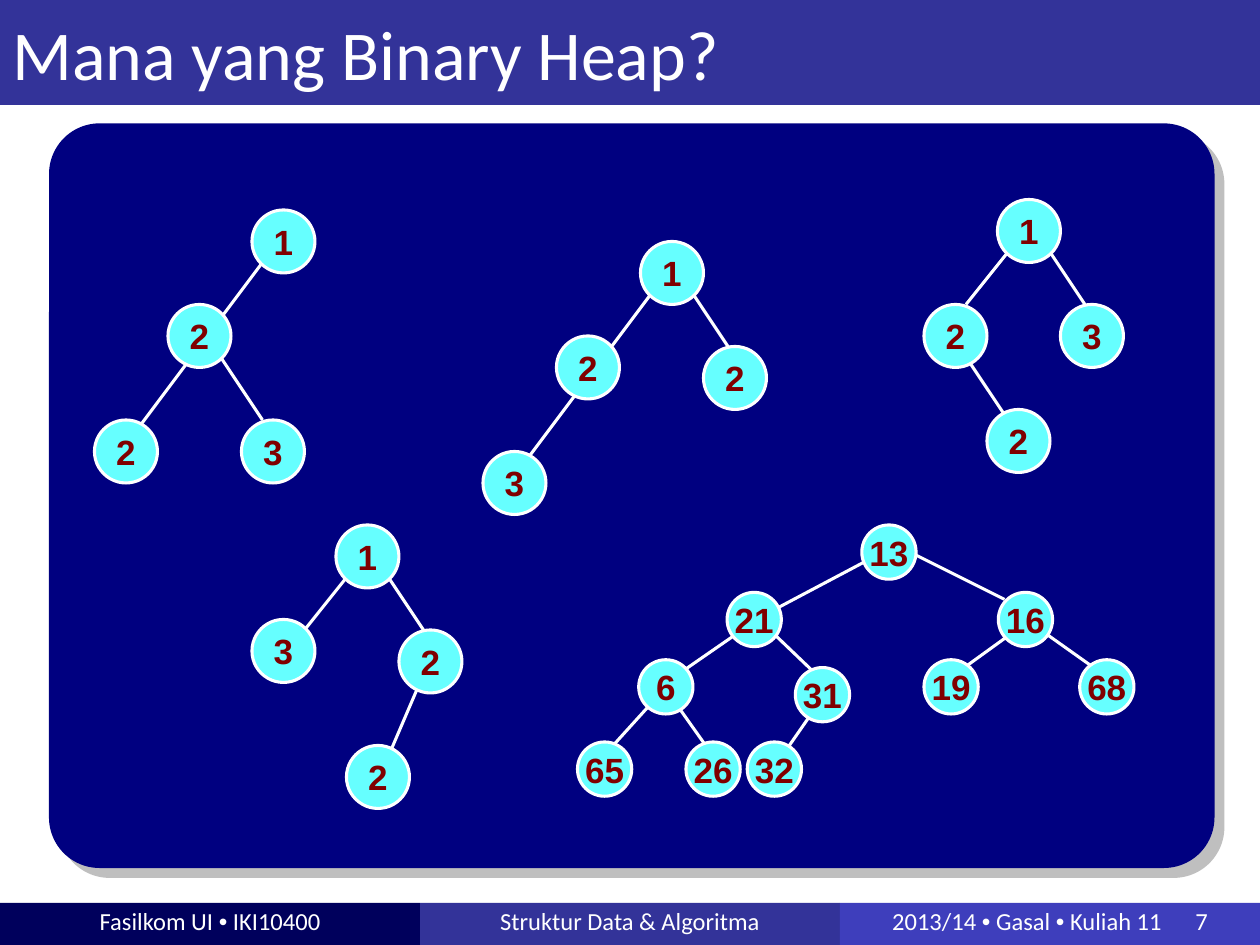
from lxml import etree
from pptx import Presentation
from pptx.dml.color import RGBColor
from pptx.enum import shapes, text
from pptx.oxml import ns
from pptx.util import Pt

WHITE = RGBColor(0xFF, 0xFF, 0xFF)
INDIGO = RGBColor(0x33, 0x33, 0x99)
NIGHT = RGBColor(0x00, 0x00, 0x5C)
VIOLET = RGBColor(0x3E, 0x3E, 0xBC)
NAVY = RGBColor(0x00, 0x00, 0x80)
GREY = RGBColor(0x80, 0x80, 0x80)
CYAN = RGBColor(0x66, 0xFF, 0xFF)
MAROON = RGBColor(0x80, 0x00, 0x00)

BULLET = ("•", "Arial", 0)
FOOTER = [
    (NIGHT, [("Fasilkom UI ", "Calibri", 0), BULLET, (" IKI10400", "Calibri", 0)]),
    (INDIGO, [("Struktur Data & Algoritma", "Calibri", 0)]),
    (VIOLET, [("2013/14 ", "Calibri", 0), BULLET, (" Gasal ", "Calibri", 0), BULLET,
              (" Kuliah 11", "Calibri", 0), (" ", "Calibri", 16), ("7", "Calibri", 0)]),
]

# Each tree: left, top, node size, nodes (label, x, y), edges (x1, y1, x2, y2)
TREES = [
    (54, 120, 36,
     [("1", 90, 0), ("2", 42, 54), ("2", 0, 120), ("3", 84, 120)],
     [(96, 30, 24, 126), (72, 84, 96, 120)]),
    (276, 138, 36,
     [("1", 90, 0), ("2", 42, 54), ("3", 0, 120), ("2", 126, 60)],
     [(120, 30, 144, 66), (96, 30, 24, 126)]),
    (144, 300, 36,
     [("1", 48, 0), ("3", 0, 54), ("2", 54, 126), ("2", 84, 60)],
     [(78, 30, 102, 66), (96, 90, 78, 132), (54, 30, 30, 60)]),
    (528, 114, 36,
     [("1", 42, 0), ("2", 0, 60), ("2", 36, 120), ("3", 78, 60)],
     [(24, 90, 48, 126), (72, 30, 96, 66), (48, 30, 24, 60)]),
    (330, 300, 31,
     [("13", 162.5, 0), ("21", 85.5, 38.5), ("16", 240.5, 38.5), ("6", 35, 77),
      ("31", 124.5, 81.5), ("19", 198, 77), ("68", 287, 77), ("65", 0, 124),
      ("26", 62, 124), ("32", 97, 124)],
     [(190, 15.5, 244, 42.5), (267.5, 62, 295, 81.5), (248, 62, 221, 81.5),
      (58, 104.5, 77.5, 132), (136, 104.5, 120, 127.5), (112, 62, 136, 85),
      (97, 58, 58, 85), (43, 101, 19, 127.5), (167, 19.5, 108.5, 50.5)]),
]


def add_text(para, words, font="Calibri", size=14, color=WHITE, bold=False, spacing=0):
    """Add one formatted span to a paragraph."""
    span = para.add_run()
    span.text = words
    span.font.name = font
    span.font.size = Pt(size)
    span.font.bold = bold
    span.font.color.rgb = color
    if spacing:
        span.font._element.set("spc", str(spacing * 100))


def add_box(parent, kind, left, top, width, height, fill):
    """Add a filled preset shape with no line and no shadow."""
    box = parent.add_shape(kind, Pt(left), Pt(top), Pt(width), Pt(height))
    box.shadow.inherit = False
    box.fill.solid()
    box.fill.fore_color.rgb = fill
    box.line.fill.background()
    frame = box.text_frame
    frame.vertical_anchor = text.MSO_ANCHOR.MIDDLE
    frame.paragraphs[0].alignment = text.PP_ALIGN.CENTER
    return box


def add_title(page, left, top, width, height):
    """Place the title placeholder as a full-width band."""
    title = page.shapes.title
    title.left, title.top, title.width, title.height = map(Pt, (left, top, width, height))
    title.fill.solid()
    title.fill.fore_color.rgb = INDIGO
    frame = title.text_frame
    frame.auto_size = text.MSO_AUTO_SIZE.NONE
    frame.vertical_anchor = text.MSO_ANCHOR.MIDDLE
    frame.paragraphs[0].alignment = text.PP_ALIGN.LEFT
    add_text(frame.paragraphs[0], "Mana yang Binary Heap?", size=40)


def add_footer(page, left, top, width, height):
    """Divide the footer band into equal coloured cells."""
    cell = width / len(FOOTER)
    for index, (fill, spans) in enumerate(FOOTER):
        box = add_box(page.shapes, shapes.MSO_SHAPE.RECTANGLE,
                      left + index * cell, top, cell, height, fill)
        frame = box.text_frame
        frame.word_wrap = True
        frame.margin_top, frame.margin_bottom = Pt(0), Pt(3.6)
        for words, font, spacing in spans:
            add_text(frame.paragraphs[0], words, font=font, spacing=spacing)


def add_panel(page, left, top, width, height):
    """Draw the rounded panel with its offset shadow."""
    panel = add_box(page.shapes, shapes.MSO_SHAPE.ROUNDED_RECTANGLE,
                    left, top, width, height, NAVY)
    panel.adjustments[0] = 0.068
    effects = panel._element.spPr.find(ns.qn("a:effectLst"))
    shadow = etree.SubElement(effects, ns.qn("a:outerShdw"), dist=str(Pt(8)),
                              dir="2700000", algn="ctr", rotWithShape="0")
    color = etree.SubElement(shadow, ns.qn("a:srgbClr"), val=str(GREY))
    etree.SubElement(color, ns.qn("a:alpha"), val="50000")


def add_tree(page, left, top, size, nodes, edges):
    """Draw one grouped tree, with its edges behind its nodes."""
    tree = page.shapes.add_group_shape().shapes
    for x1, y1, x2, y2 in edges:
        edge = tree.add_connector(shapes.MSO_CONNECTOR.STRAIGHT, Pt(left + x1),
                                  Pt(top + y1), Pt(left + x2), Pt(top + y2))
        edge.line.color.rgb = WHITE
        edge.line.width = Pt(1.75)
        etree.SubElement(edge._element.spPr, ns.qn("a:effectLst"))
    for label, x, y in nodes:
        node = add_box(tree, shapes.MSO_SHAPE.OVAL, left + x, top + y, size, size, CYAN)
        node.line.color.rgb = WHITE
        node.line.width = Pt(1.75)
        node.text_frame.word_wrap = False
        add_text(node.text_frame.paragraphs[0], label, font="Arial", size=20,
                 color=MAROON, bold=True)


def main():
    """Build the slide and save the deck."""
    deck = Presentation()
    deck.slide_width, deck.slide_height = Pt(720), Pt(540)
    page = deck.slides.add_slide(deck.slide_layouts[5])
    add_footer(page, 0, 516, 720, 24)
    add_panel(page, 28, 70.5, 666, 425.5)
    for tree in TREES:
        add_tree(page, *tree)
    add_title(page, 0, 0, 720, 60)
    deck.save("out.pptx")


if __name__ == "__main__":
    main()
